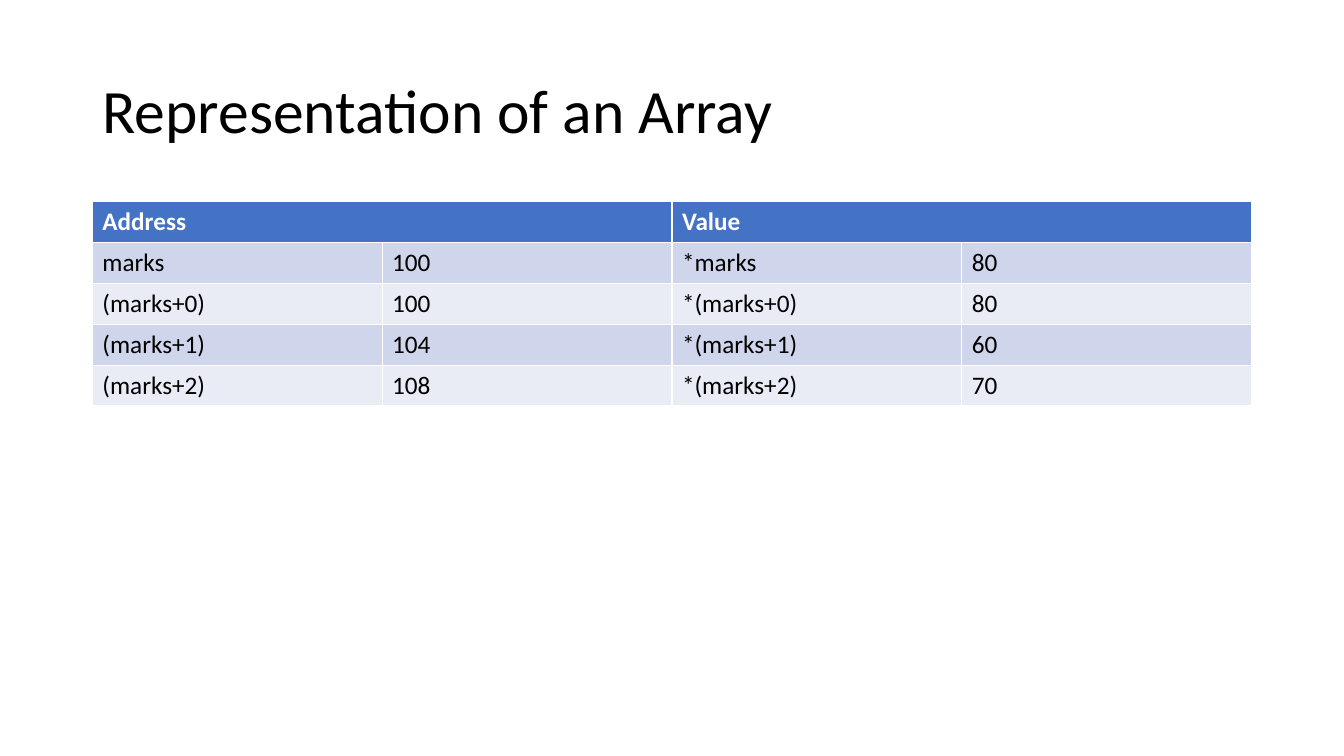
"""Build the slide on how an array is represented by addresses and values."""
from pptx import Presentation
from pptx import util as u
from pptx.dml.color import RGBColor
from pptx.enum import text


def style(paragraph, size, color, bold=False):
    for run in paragraph.runs:
        run.font.name = "Calibri"
        run.font.size = u.Pt(size)
        run.font.bold = bold
        run.font.color.rgb = RGBColor.from_string(color)


deck = Presentation()
deck.slide_width, deck.slide_height = u.Pt(960), u.Pt(540)
slide = deck.slides.add_slide(deck.slide_layouts[5])

heading = slide.shapes.title
heading.left, heading.top = u.Pt(66), u.Pt(28.75)
heading.width, heading.height = u.Pt(828), u.Pt(104.4)
heading.text_frame.text = "Representation of an Array"
heading.text_frame.vertical_anchor = text.MSO_ANCHOR.MIDDLE
heading_line = heading.text_frame.paragraphs[0]
heading_line.alignment = text.PP_ALIGN.LEFT
heading_line.line_spacing = 0.9
style(heading_line, 44, "000000")

marks = [
    ("Address", "", "Value", ""),
    ("marks", "100", "*marks", "80"),
    ("(marks+0)", "100", "*(marks+0)", "80"),
    ("(marks+1)", "104", "*(marks+1)", "60"),
    ("(marks+2)", "108", "*(marks+2)", "70"),
]
array = slide.shapes.add_table(
    len(marks), 4, u.Pt(66), u.Pt(144), u.Pt(828), u.Pt(146)
).table
for column in array.columns:
    column.width = u.Pt(207)
for start in (0, 2):
    array.cell(0, start).merge(array.cell(0, start + 1))

for index, entries in enumerate(marks):
    array.rows[index].height = u.Pt(29.2)
    header = index == 0
    band = "4472C4" if header else ("E9EBF5", "CFD5EA")[index % 2]
    for position, entry in enumerate(entries):
        cell = array.cell(index, position)
        cell.fill.solid()
        cell.fill.fore_color.rgb = RGBColor.from_string(band)
        if not cell.is_spanned:
            cell.text_frame.text = entry
            style(cell.text_frame.paragraphs[0], 18, "FFFFFF" if header else "000000", header)

deck.save("out.pptx")
